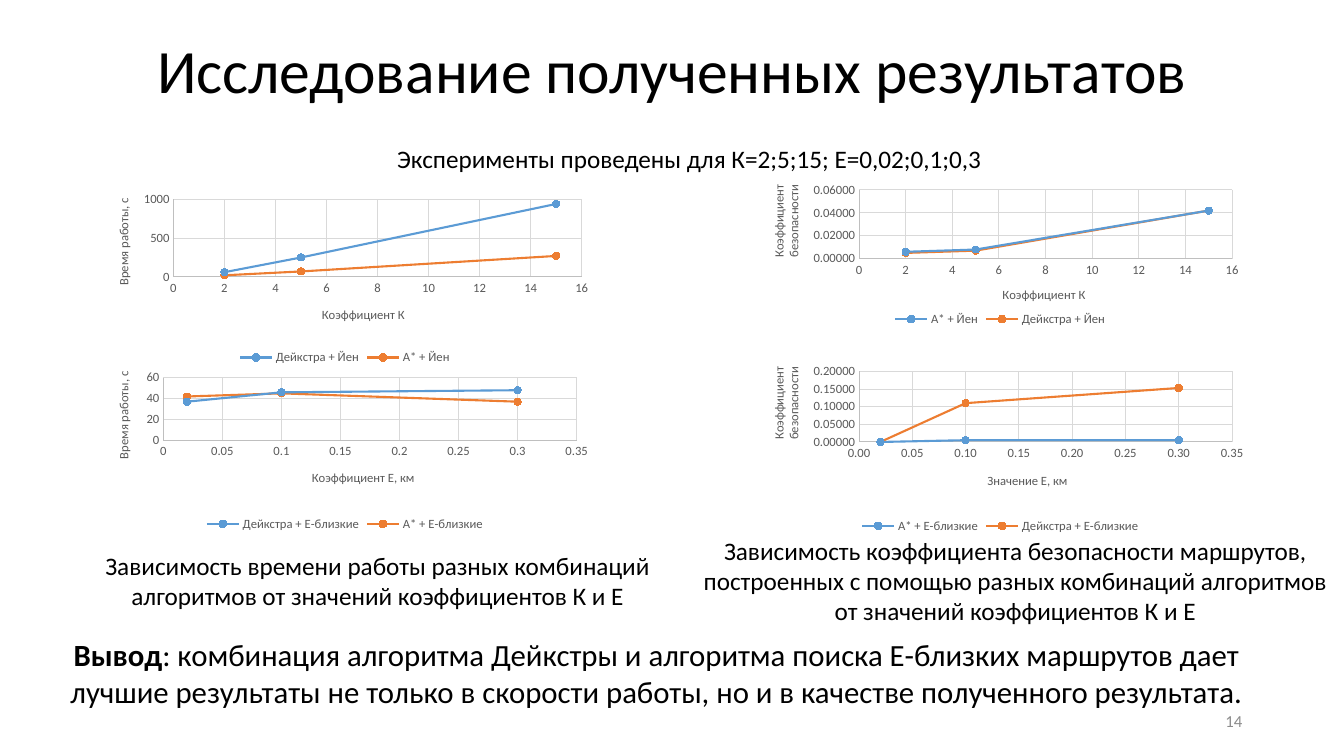
from lxml.etree import SubElement
from pptx import Presentation
from pptx.chart.data import XyChartData
from pptx.dml.color import RGBColor
from pptx.enum.chart import (XL_CHART_TYPE, XL_LEGEND_POSITION, XL_MARKER_STYLE,
                             XL_TICK_MARK)
from pptx.enum.text import MSO_ANCHOR, PP_ALIGN
from pptx.oxml import parse_xml
from pptx.oxml.ns import nsdecls, qn
from pptx.util import Inches, Pt

FONT = "Calibri"
BLACK, GRAY, PALE = "000000", "595959", "8C8C8C"
AXIS_LINE, GRID_LINE = "BFBFBF", "D9D9D9"
SERIES_COLORS = ["5B9BD5", "ED7D31"]
LEFT, RIGHT, CHART_WIDTH = 0.92, 7.42, 5
K_VALUES, E_VALUES = [2, 5, 15], [0.02, 0.1, 0.3]

# box (inches), runs (text, bold), format
CENTER, TOP, MIDDLE = PP_ALIGN.CENTER, MSO_ANCHOR.TOP, MSO_ANCHOR.MIDDLE
TEXTS = [
    ((9.42, 6.95, 3, 0.4), [("14", False)],
     dict(size=12, color=PALE, align=PP_ALIGN.RIGHT, anchor=MIDDLE)),
    ((LEFT, 0, 11.5, 1.45), [("Исследование полученных результатов", False)],
     dict(size=44, anchor=MIDDLE, spacing=0.9)),
    ((3.84, 1.37, 6.01, 0.4),
     [("Эксперименты проведены для К=2;5;15; E=0,02;0,1;0,3", False)],
     dict(size=18, align=PP_ALIGN.LEFT, wrap=False)),
    ((0.49, 5.41, 6.51, 1.01),
     [("Зависимость времени работы разных комбинаций алгоритмов "
       "от значений коэффициентов К и Е", False)], dict(size=18)),
    ((0.23, 6.26, 12.56, 0.84),
     [("Вывод", True),
      (": комбинация алгоритма Дейкстры и алгоритма поиска Е-близких маршрутов дает "
       "лучшие результаты не только в скорости работы, но и в качестве полученного "
       "результата.", False)], dict(size=22)),
    ((6.77, 5.26, 6.6, 1.01),
     [("Зависимость коэффициента безопасности маршрутов, построенных с помощью разных "
       "комбинаций алгоритмов от значений коэффициентов К и Е", False)], dict(size=18)),
]

# Axis: title, title position, maximum, step, number format.
# Positions and plot areas are shares of the chart's size.
CHARTS = [
    dict(box=(LEFT, 1.87, CHART_WIDTH, 1.79), plot=(0.16, 0.06, 0.81, 0.43),
         x_axis=("Коэффициент К", (0.45, 0.64), 16, 2, "General"),
         y_axis=("Время работы, с", (0.04, 0.04), 1000, 500, "General"),
         x=K_VALUES,
         series={"Дейкстра + Йен": [60, 250, 940], "А* + Йен": [20, 70, 270]}),
    dict(box=(LEFT, 3.63, CHART_WIDTH, 1.68), plot=(0.14, 0.07, 0.82, 0.37),
         x_axis=("Коэффициент E, км", (0.43, 0.6), 0.35, 0.05, "General"),
         y_axis=("Время работы, с", (0.04, 0.02), 60, 20, "General"),
         x=E_VALUES,
         series={"Дейкстра + Е-близкие": [37, 46, 48], "А* + Е-близкие": [42, 45, 37]}),
    dict(box=(RIGHT, 3.58, CHART_WIDTH, 1.75), plot=(0.22, 0.06, 0.74, 0.4),
         x_axis=("Значение Е, км", (0.47, 0.62), 0.35, 0.05, "0.00"),
         y_axis=("Коэффициент безопасности", (0.04, 0.02), 0.2, 0.05, "0.00000"),
         x=E_VALUES,
         series={"А* + Е-близкие": [0, 0.005, 0.005],
                 "Дейкстра + Е-близкие": [0, 0.11, 0.153]}),
    dict(box=(RIGHT, 1.73, CHART_WIDTH, 1.55), plot=(0.22, 0.1, 0.74, 0.44),
         x_axis=("Коэффициент К", (0.5, 0.7), 16, 2, "General"),
         y_axis=("Коэффициент безопасности", (0.04, 0.05), 0.06, 0.02, "0.00000"),
         x=K_VALUES,
         series={"А* + Йен": [0.006, 0.008, 0.042],
                 "Дейкстра + Йен": [0.005, 0.007, 0.042]}),
]


def rgb(color):
    return RGBColor.from_string(color)


def set_font(font, size, color, bold=False):
    for name, value in dict(name=FONT, size=Pt(size), bold=bold).items():
        setattr(font, name, value)
    font.color.rgb = rgb(color)


def set_line(line, color, width):
    line.color.rgb = rgb(color)
    line.width = Pt(width)


def add_text(slide, box, runs, size, color=BLACK, align=CENTER, anchor=TOP,
             spacing=None, wrap=True):
    frame = slide.shapes.add_textbox(*map(Inches, box)).text_frame
    frame.word_wrap = wrap
    frame.vertical_anchor = anchor
    paragraph = frame.paragraphs[0]
    paragraph.alignment = align
    paragraph.line_spacing = spacing
    for text, bold in runs:
        run = paragraph.add_run()
        run.text = text
        set_font(run.font, size, color, bold)


def make_layout(shares, inner=False):
    """Return a c:layout element for x, y and, for a plot area, w, h."""
    layout = parse_xml(f"<c:layout {nsdecls('c')}><c:manualLayout/></c:layout>")
    settings = {"layoutTarget": "inner"} if inner else {}
    settings.update(xMode="edge", yMode="edge")
    settings.update(zip("xywh", map(str, shares)))
    for tag, value in settings.items():
        SubElement(layout[0], qn(f"c:{tag}")).set("val", value)
    return layout


def replace_layout(parent, layout, index):
    for old in parent.findall(qn("c:layout")):
        parent.remove(old)
    parent.insert(index, layout)


def format_axis(axis, title, position, maximum, step, number_format):
    values = dict(minimum_scale=0, maximum_scale=maximum, major_unit=step,
                  has_major_gridlines=True, major_tick_mark=XL_TICK_MARK.NONE,
                  minor_tick_mark=XL_TICK_MARK.NONE)
    for name, value in values.items():
        setattr(axis, name, value)
    axis.tick_labels.number_format = number_format
    axis.tick_labels.number_format_is_linked = False
    set_font(axis.tick_labels.font, 9, GRAY)
    set_line(axis.format.line, AXIS_LINE, 0.75)
    set_line(axis.major_gridlines.format.line, GRID_LINE, 0.75)
    run = axis.axis_title.text_frame.paragraphs[0].add_run()
    run.text = title
    set_font(run.font, 9, GRAY)
    replace_layout(axis.axis_title._element, make_layout(position), 1)


def add_scatter(slide, box, plot, x_axis, y_axis, x, series):
    data = XyChartData()
    for name, values in series.items():
        points = data.add_series(name)
        for pair in zip(x, values):
            points.add_data_point(*pair)
    chart = slide.shapes.add_chart(XL_CHART_TYPE.XY_SCATTER_LINES,
                                   *map(Inches, box), data).chart
    set_font(chart.font, 10, BLACK)
    chart.has_title = False
    chart.has_legend = True
    chart.legend.position = XL_LEGEND_POSITION.BOTTOM
    chart.legend.include_in_layout = False
    set_font(chart.legend.font, 9, GRAY)
    format_axis(chart.category_axis, *x_axis)
    format_axis(chart.value_axis, *y_axis)
    chart.plots[0].vary_by_categories = False
    for line, color in zip(chart.plots[0].series, SERIES_COLORS):
        line.smooth = False
        set_line(line.format.line, color, 1.5)
        line.marker.style = XL_MARKER_STYLE.CIRCLE
        line.marker.size = 5
        line.marker.format.fill.solid()
        line.marker.format.fill.fore_color.rgb = rgb(color)
        set_line(line.marker.format.line, color, 0.75)
    plot_area = chart._chartSpace.chart.plotArea
    replace_layout(plot_area, make_layout(plot, inner=True), 0)


def main():
    presentation = Presentation()
    presentation.slide_width = Inches(13.33)
    presentation.slide_height = Inches(7.5)
    slide = presentation.slides.add_slide(presentation.slide_layouts[6])
    for box, runs, text_format in TEXTS:
        add_text(slide, box, runs, **text_format)
    for chart in CHARTS:
        add_scatter(slide, **chart)
    presentation.save("out.pptx")


if __name__ == "__main__":
    main()
